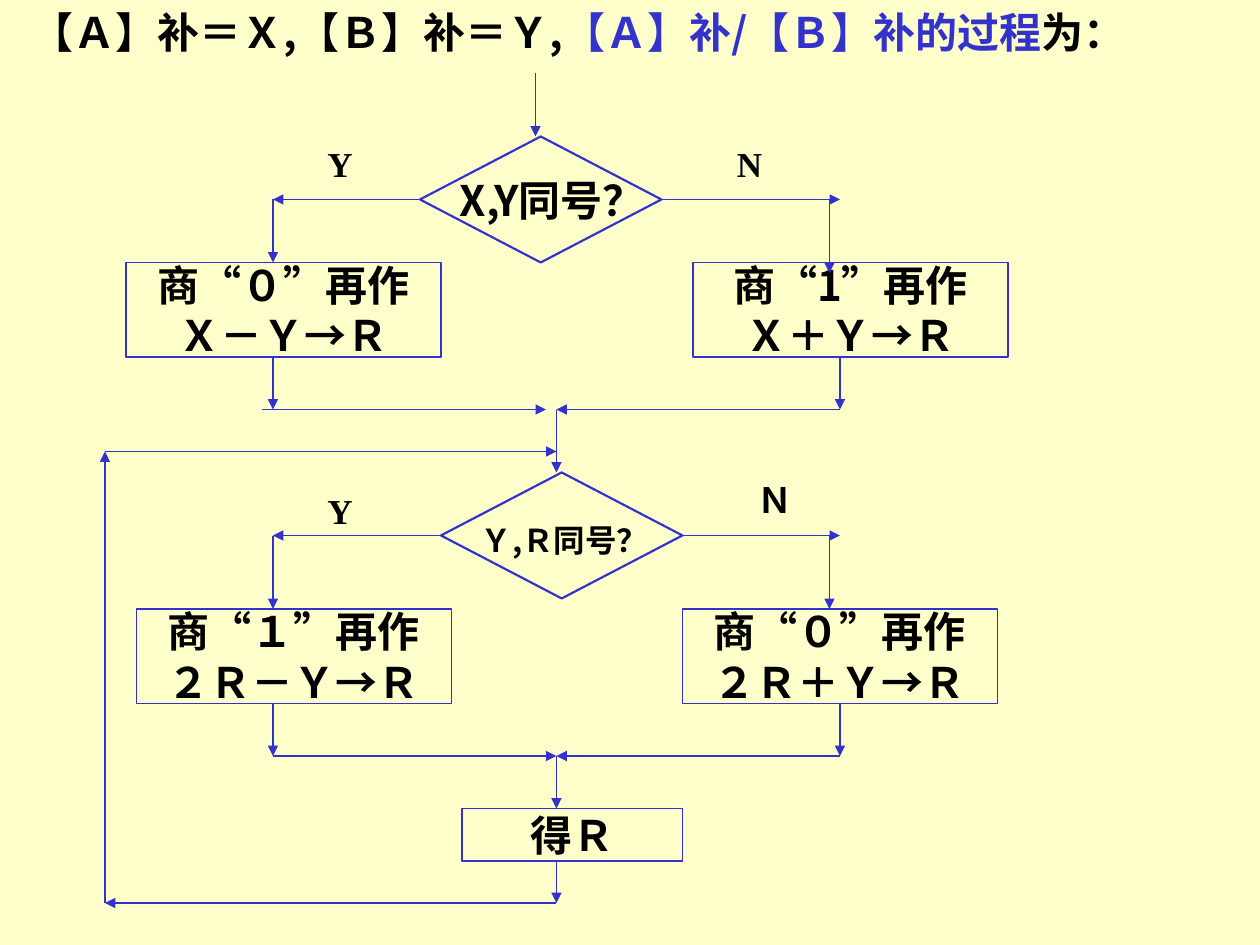
import lxml.etree
import pptx
import pptx.dml.color
import pptx.enum.shapes
import pptx.enum.text
import pptx.oxml.ns
import pptx.util

Cm, Pt = pptx.util.Cm, pptx.util.Pt
RGB = pptx.dml.color.RGBColor
KIND = pptx.enum.shapes.MSO_SHAPE
ALIGN = pptx.enum.text.PP_ALIGN
ANCHOR = pptx.enum.text.MSO_ANCHOR
qn = pptx.oxml.ns.qn

BLUE = RGB(0x33, 0x33, 0xCC)
BLACK = RGB(0, 0, 0)
CREAM = RGB(0xFF, 0xFF, 0xCC)
SANS, SERIF = "Noto Sans CJK SC", "Times New Roman"

UNIT = 2.54 / 12

TITLE = [
    ("【Ａ】补＝Ｘ,【Ｂ】补＝Ｙ,", BLACK),
    ("【Ａ】补/【Ｂ】补的过程", BLUE),
    ("为：", BLACK),
]
TESTS = [(40, 13), (42, 45)]
STEPS = [
    ("商“０”再作\nＸ－Ｙ→Ｒ", 12, 25, 30, 9),
    ("商“1”再作\nＸ＋Ｙ→Ｒ", 66, 25, 30, 9),
    ("商“１”再作\n２Ｒ－Ｙ→Ｒ", 13, 58, 30, 9),
    ("商“０”再作\n２Ｒ＋Ｙ→Ｒ", 65, 58, 30, 9),
    ("得Ｒ", 44, 77, 21, 5),
]
LABELS = [
    ("X,Y同号？", 42.6, 16, 21.5, 6, 24, SANS),
    ("Ｙ,Ｒ同号？", 44.6, 49, 19.8, 4.8, 18, SANS),
    ("Y", 30, 13, 4.8, 5.3, 20, SERIF),
    ("N", 69, 13, 4.8, 5.3, 20, SERIF),
    ("Y", 30, 46, 4.8, 5.3, 20, SERIF),
    ("Ｎ", 71, 45, 5.8, 5.3, 20, SERIF),
]
ROUTES = [
    [(51, 7), (51, 13)],
    [(40, 19), (26, 19), (26, 25)],
    [(63, 19), (80, 19)],
    [(79, 19), (79, 26)],
    [(26, 34), (26, 39)],
    [(25, 39), (52, 39)],
    [(80, 34), (80, 39), (53, 39), (53, 45)],
    [(42, 51), (26, 51), (26, 58)],
    [(65, 51), (80, 51)],
    [(79, 51), (79, 58)],
    [(26, 67), (26, 72), (53, 72), (53, 77)],
    [(80, 67), (80, 72), (53, 72)],
    [(53, 82), (53, 86), (10, 86), (10, 43), (53, 43)],
]


def grid(*steps):
    return [Cm(step * UNIT) for step in steps]


def style(run, size, face=SANS, color=BLACK):
    font = run.font
    font.size, font.bold, font.name = Pt(size), True, face
    font.color.rgb = color
    east = lxml.etree.SubElement(run._r.get_or_add_rPr(), qn("a:ea"))
    east.set("typeface", SANS)


def write(frame, text, size, face=SANS, align=ALIGN.LEFT):
    frame.text = text
    frame.word_wrap = False
    for para in frame.paragraphs:
        para.alignment = align
        for run in para.runs:
            style(run, size, face)


def shape(kind, box, width):
    item = slide.shapes.add_shape(kind, *grid(*box))
    item.shadow.inherit = False
    item.fill.background()
    item.line.color.rgb = BLUE
    item.line.width = Pt(width)
    return item


def arrow(start, end):
    link = slide.shapes.add_connector(
        pptx.enum.shapes.MSO_CONNECTOR.STRAIGHT, *grid(*start, *end))
    link.line.color.rgb = BLUE
    link.line.width = Pt(0.75)
    tip = lxml.etree.SubElement(link.line._get_or_add_ln(), qn("a:tailEnd"))
    tip.set("type", "triangle")
    lxml.etree.SubElement(link._element.spPr, qn("a:effectLst"))


deck = pptx.Presentation()
deck.slide_width, deck.slide_height = Cm(25.4), Cm(19.05)
slide = deck.slides.add_slide(deck.slide_layouts[5])
slide.background.fill.solid()
slide.background.fill.fore_color.rgb = CREAM

title = slide.shapes.title
title.left, title.top, title.width, title.height = grid(0, 0, 120, 6)
frame = title.text_frame
frame.auto_size = pptx.enum.text.MSO_AUTO_SIZE.NONE
frame.vertical_anchor = ANCHOR.TOP
frame.margin_left = Cm(0.64)
head = frame.paragraphs[0]
head.alignment = ALIGN.JUSTIFY
for text, color in TITLE:
    run = head.add_run()
    run.text = text
    style(run, 24, color=color)

for left, top in TESTS:
    shape(KIND.FLOWCHART_DECISION, (left, top, 23, 12), 1.25)

for text, *box in STEPS:
    step = shape(KIND.FLOWCHART_PROCESS, box, 1)
    step.text_frame.vertical_anchor = ANCHOR.MIDDLE
    write(step.text_frame, text, 24, align=ALIGN.CENTER)

for text, left, top, width, height, size, face in LABELS:
    label = slide.shapes.add_textbox(*grid(left, top, width, height))
    write(label.text_frame, text, size, face)

for route in ROUTES:
    for start, end in zip(route, route[1:]):
        arrow(start, end)

deck.save("out.pptx")
